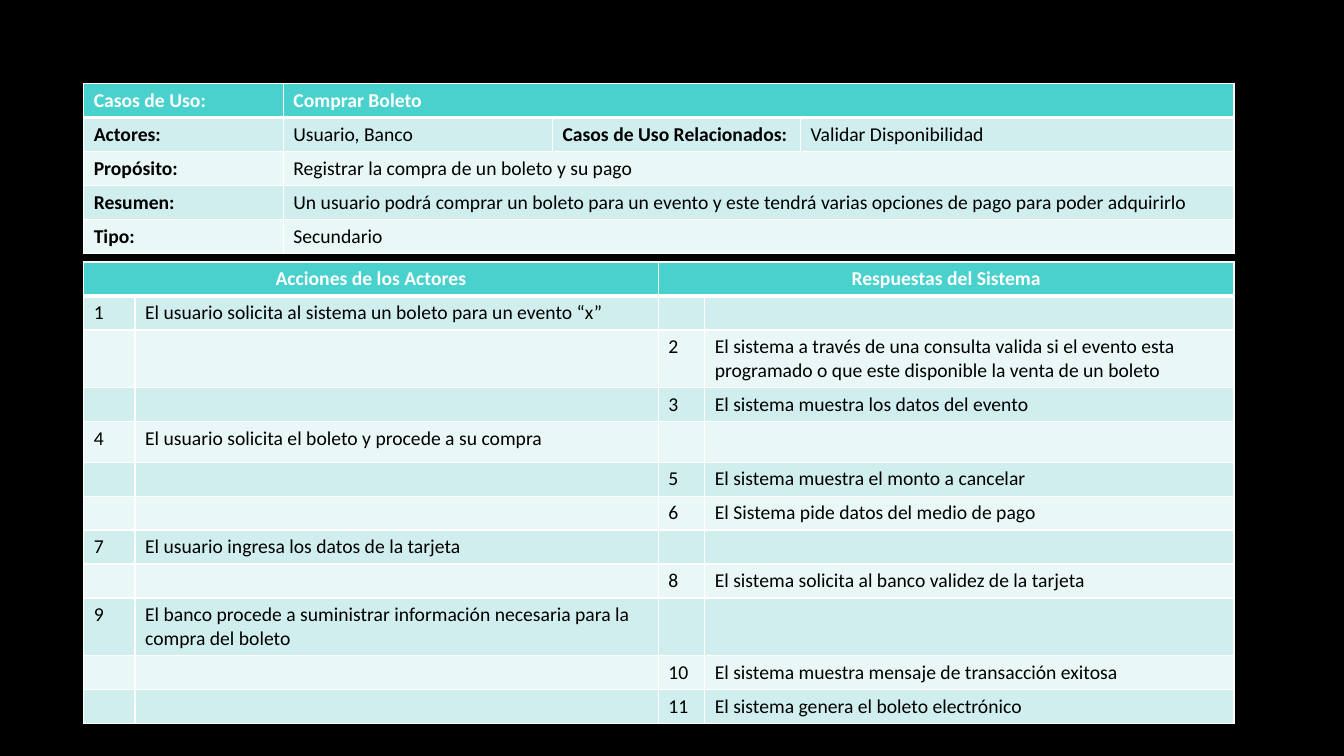
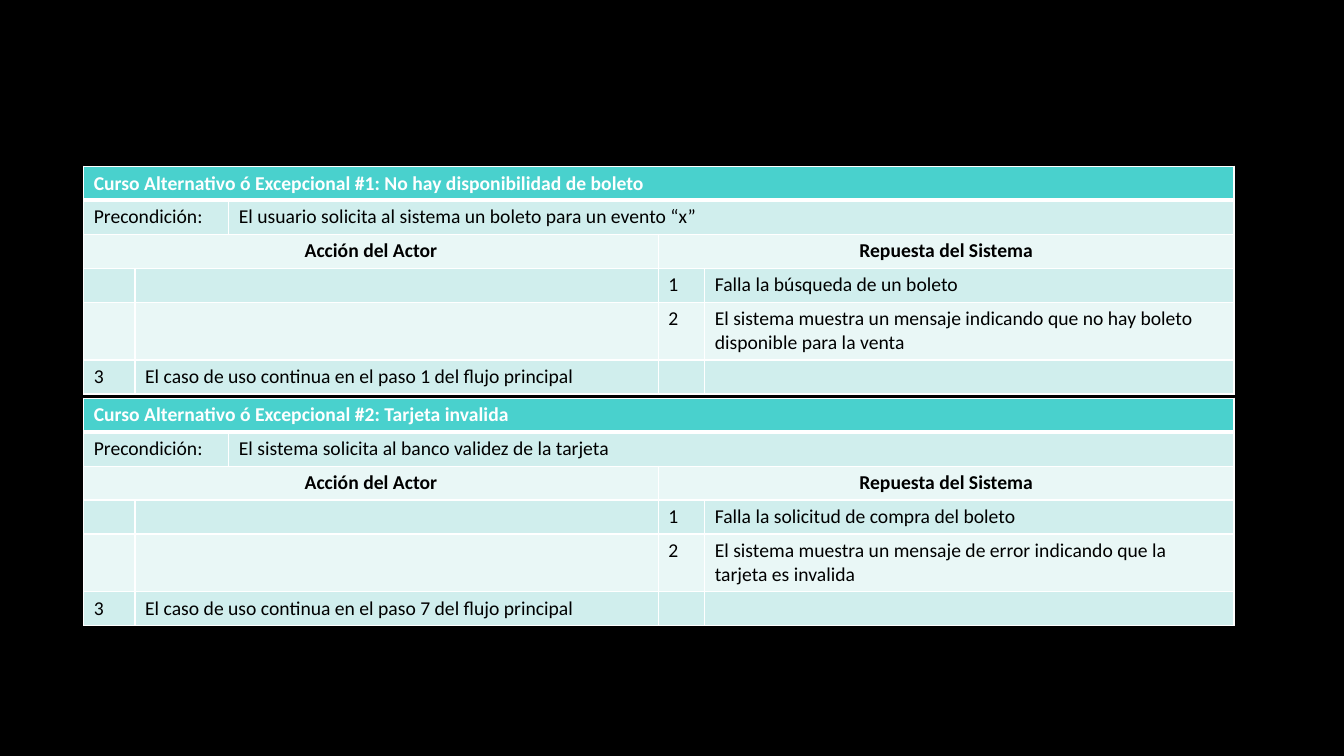
"""Build two slides of use-case tables for buying a ticket."""
from lxml import etree
from pptx import Presentation
from pptx import util as u
from pptx.dml import color
from pptx.enum import text
from pptx.oxml import ns

COLORS = {"back": "000000", "head": "49D1CD", "odd": "D0EEED", "even": "E9F7F6",
          "light": "FFFFFF", "dark": "000000"}
FONT, SIZE = "Calibri", 14
LEFT = 0.83
ROW, TALL_ROW, LOOSE_ROW = 0.33, 0.57, 0.4
ACTOR, SYSTEM = "actor", "system"

SUMMARY = [
    ["Casos de Uso:", "Comprar Boleto", None, None],
    ["Actores:", "Usuario, Banco", "Casos de Uso Relacionados:", "Validar Disponibilidad"],
    ["Propósito:", "Registrar la compra de un boleto y su pago", None, None],
    ["Resumen:", "Un usuario podrá comprar un boleto para un evento y este tendrá "
                 "varias opciones de pago para poder adquirirlo", None, None],
    ["Tipo:", "Secundario", None, None],
]
SUMMARY_WIDTHS = [1.98, 2.67, 2.46, 4.3]

FLOW_HEADS = ["Acciones de los Actores", None, "Respuestas del Sistema", None]
FLOW_STEPS = [
    (ACTOR, "El usuario solicita al sistema un boleto para un evento “x”"),
    (SYSTEM, "El sistema a través de una consulta valida si el evento esta "
             "programado o que este disponible la venta de un boleto"),
    (SYSTEM, "El sistema muestra los datos del evento"),
    (ACTOR, "El usuario solicita el boleto y procede a su compra"),
    (SYSTEM, "El sistema muestra el monto a cancelar"),
    (SYSTEM, "El Sistema pide datos del medio de pago"),
    (ACTOR, "El usuario ingresa los datos de la tarjeta"),
    (SYSTEM, "El sistema solicita al banco validez de la tarjeta"),
    (ACTOR, "El banco procede a suministrar información necesaria para la compra del boleto"),
    (SYSTEM, "El sistema muestra mensaje de transacción exitosa"),
    (SYSTEM, "El sistema genera el boleto electrónico"),
]
FLOW_WIDTHS = [0.51, 5.19, 0.46, 5.25]
FLOW_HEIGHTS = {2: TALL_ROW, 4: LOOSE_ROW, 9: TALL_ROW}

COURSE_HEADS = ["Acción del Actor", None, None, "Repuesta del Sistema", None]
COURSES = [
    {"top": 1.65,
     "title": "Curso Alternativo ó Excepcional #1: No hay disponibilidad de boleto",
     "condition": "El usuario solicita al sistema un boleto para un evento “x”",
     "steps": [
         (SYSTEM, "Falla la búsqueda de un boleto"),
         (SYSTEM, "El sistema muestra un mensaje indicando que no hay boleto "
                  "disponible para la venta"),
         (ACTOR, "El caso de uso continua en el paso 1 del flujo principal")]},
    {"top": 3.95,
     "title": "Curso Alternativo ó Excepcional #2: Tarjeta invalida",
     "condition": "El sistema solicita al banco validez de la tarjeta",
     "steps": [
         (SYSTEM, "Falla la solicitud de compra del boleto"),
         (SYSTEM, "El sistema muestra un mensaje de error indicando que la "
                  "tarjeta es invalida"),
         (ACTOR, "El caso de uso continua en el paso 7 del flujo principal")]},
]
COURSE_WIDTHS = [0.51, 0.93, 4.26, 0.46, 5.25]
COURSE_HEIGHTS = {4: TALL_ROW}

CENTERED = {heading for heading in FLOW_HEADS + COURSE_HEADS if heading}
BOLD = CENTERED | {row[0] for row in SUMMARY} | {"Casos de Uso Relacionados:"}


def rgb(name):
    """Return a named colour."""
    return color.RGBColor.from_string(COLORS[name])


def write(cell, content, *, bold=False, ink="dark", align=text.PP_ALIGN.LEFT):
    """Put formatted text in a cell and keep empty cells at the same size."""
    para = cell.text_frame.paragraphs[0]
    para.alignment = align
    if content:
        span = para.add_run()
        span.text = content
        span.font.name, span.font.size, span.font.bold = FONT, u.Pt(SIZE), bold
        span.font.color.rgb = rgb(ink)
    else:
        etree.SubElement(para._p, ns.qn("a:endParaRPr"), sz=str(SIZE * 100))


def add_borders(cell, top, bottom):
    """Draw the white cell borders, with top and bottom widths in points."""
    properties = cell._tc.get_or_add_tcPr()
    for side, width in (("L", 1), ("R", 1), ("T", top), ("B", bottom)):
        line = etree.SubElement(properties, ns.qn(f"a:ln{side}"), w=str(u.Pt(width)))
        fill = etree.SubElement(line, ns.qn("a:solidFill"))
        etree.SubElement(fill, ns.qn("a:srgbClr"), val=COLORS["light"])


def step_rows(steps, actor_gap=()):
    """Number the steps and put each on its own side of the table."""
    rows = []
    for number, (side, content) in enumerate(steps, 1):
        step, empty = [str(number), content], ["", ""]
        left, right = (step, empty) if side == ACTOR else (empty, step)
        rows.append([*left, *actor_gap, *right])
    return rows


def add_grid(slide, top, widths, rows, heights=None):
    """Add a banded table where None continues the cell to its left."""
    row_heights = [(heights or {}).get(index, ROW) for index in range(len(rows))]
    table = slide.shapes.add_table(
        len(rows), len(widths), u.Inches(LEFT), u.Inches(top),
        u.Inches(sum(widths)), u.Inches(sum(row_heights))).table
    for column, width in zip(table.columns, widths):
        column.width = u.Inches(width)
    for r, row in enumerate(rows):
        table.rows[r].height = u.Inches(row_heights[r])
        band = "head" if r == 0 else "odd" if r % 2 else "even"
        for c, content in enumerate(row):
            cell = table.cell(r, c)
            add_borders(cell, 3 if r == 1 else 1, 3 if r == 0 else 1)
            cell.fill.solid()
            cell.fill.fore_color.rgb = rgb(band)
            write(cell, content, bold=r == 0 or content in BOLD,
                  ink="light" if r == 0 else "dark",
                  align=text.PP_ALIGN.CENTER if content in CENTERED else text.PP_ALIGN.LEFT)
        starts = [c for c, content in enumerate(row) if content is not None]
        for start, stop in zip(starts, starts[1:] + [len(row)]):
            if stop - start > 1:
                table.cell(r, start).merge(table.cell(r, stop - 1))


def main():
    """Build and save the deck."""
    deck = Presentation()
    deck.slide_width, deck.slide_height = u.Inches(13.33), u.Inches(7.5)
    backdrop = deck.slide_master.background.fill
    backdrop.solid()
    backdrop.fore_color.rgb = rgb("back")
    main_flow, alternatives = (deck.slides.add_slide(deck.slide_layouts[6]) for _ in range(2))

    add_grid(main_flow, 0.83, SUMMARY_WIDTHS, SUMMARY)
    add_grid(main_flow, 2.6, FLOW_WIDTHS, [FLOW_HEADS, *step_rows(FLOW_STEPS)], FLOW_HEIGHTS)
    for course in COURSES:
        rows = [[course["title"], None, None, None, None],
                ["Precondición:", None, course["condition"], None, None],
                COURSE_HEADS, *step_rows(course["steps"], [None])]
        add_grid(alternatives, course["top"], COURSE_WIDTHS, rows, COURSE_HEIGHTS)
    deck.save("out.pptx")


if __name__ == "__main__":
    main()
